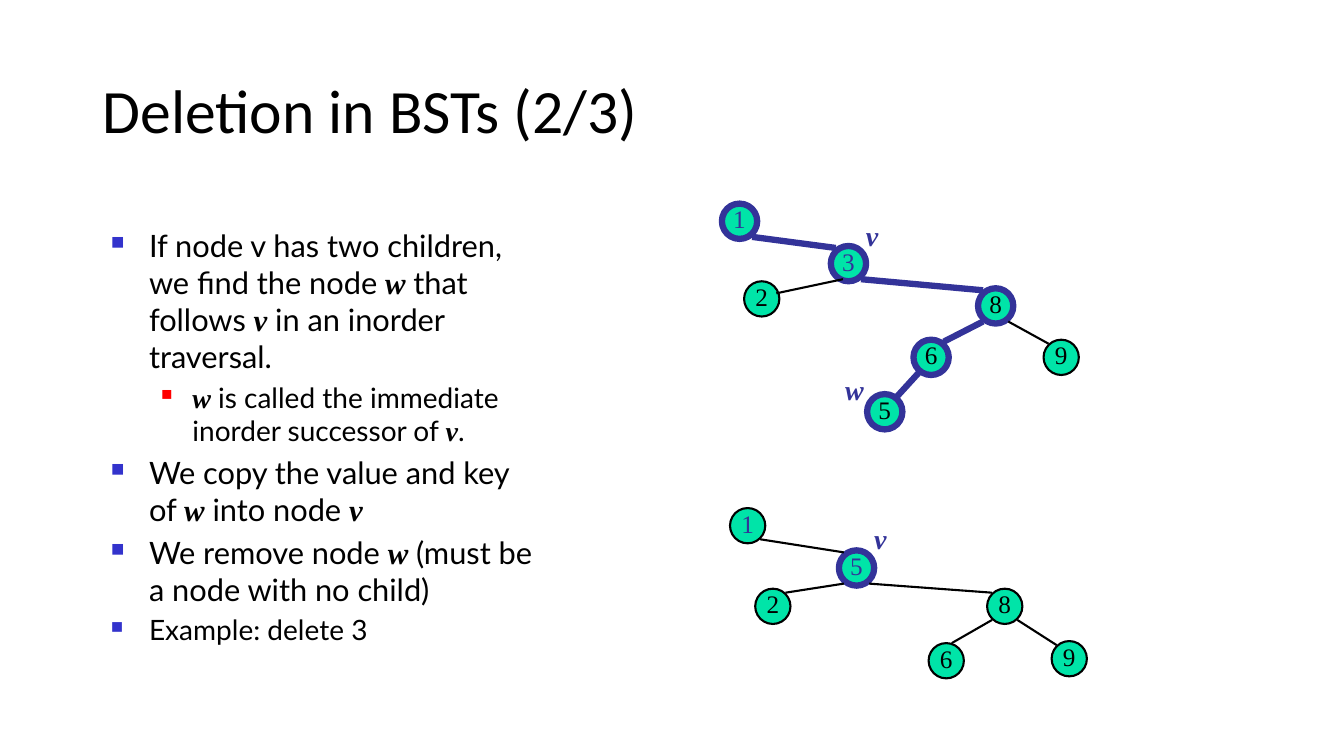
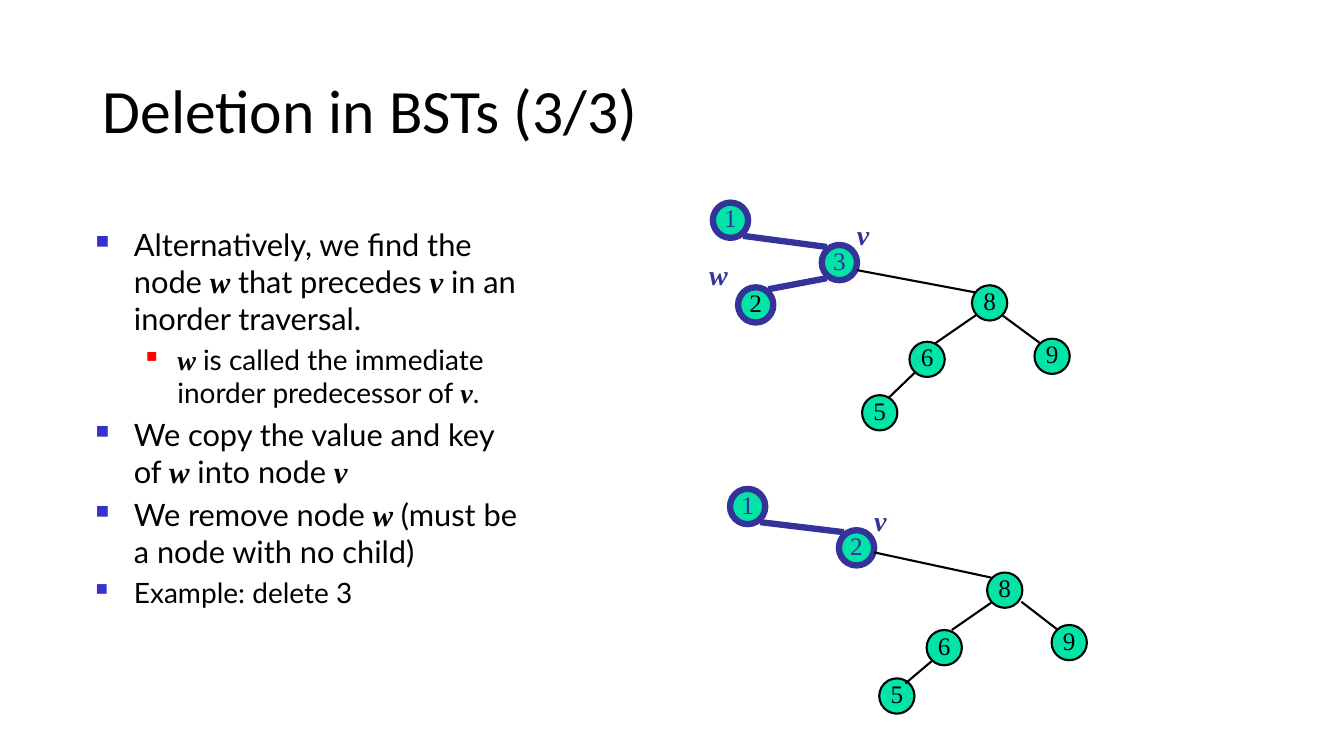
from lxml import etree
from pptx import Presentation
from pptx.dml.color import RGBColor
from pptx.enum.shapes import MSO_CONNECTOR, MSO_SHAPE
from pptx.enum.text import MSO_ANCHOR, PP_ALIGN
from pptx.oxml.ns import qn
from pptx.util import Pt

PX = 9144  # EMU per px, 100 px to the inch
ELLIPSE = MSO_SHAPE.OVAL
STRAIGHT = MSO_CONNECTOR.STRAIGHT
MIDDLE = MSO_ANCHOR.MIDDLE
CENTER = PP_ALIGN.CENTER

BLACK, PURPLE, GREEN = "000000", "333399", "00E4A8"
TITLE_FONT, BODY_FONT, SERIF = "Calibri", "Lato", "Times New Roman"
TITLE_BOX = (92, 40, 1150, 145)
NODE = 35
THICK, THIN = 4.5, 1.5

# Per outline level: left margin, hanging indent, bullet colour, bullet percent
LEVELS = [(38, 38, "3333CC", 60), (81, 31, "FF0000", 55)]

# Outline items: level, size, text with *variables* between stars
CLOSING_STEPS = [
    (0, 22, "We copy the value and key of *w* into node *v*"),
    (0, 22, "We remove node *w *(must be a node with no child)"),
    (0, 20, "Example: delete 3"),
]

# Trees: nodes are placed relative to the root; "path" nodes have a thick ring.
# An edge is parent, child and, where needed, its end points inside each node.
# A label has its node and its offset from that node.
SLIDES = [
    {
        "title": "Deletion in BSTs (2/3)",
        "outline_box": (100, 220, 441, 500),
        "outline": [
            (0, 22, "If node v has two children, we find the node *w *that follows "
                    "*v* in an inorder traversal."),
            (1, 20, "*w *is called the immediate inorder successor of *v*."),
        ],
        "trees": [
            {
                "origin": (716, 202),
                "nodes": {"1": (0, 0), "3": (108, 42), "8": (254, 84), "6": (190, 135),
                          "9": (319, 135), "5": (144, 189), "2": (22, 77)},
                "path": "13865",
                "edges": [("1", "3"), ("3", "8"), ("8", "6"), ("8", "9"), ("6", "5"),
                          ("3", "2", (12, 33), (32, 12))],
                "labels": {"v": ("3", 25, -32), "w": ("5", -32, -26)},
            },
            {
                "origin": (724, 504),
                "nodes": {"1": (0, 0), "5": (108, 42), "8": (255, 80), "2": (25, 80),
                          "6": (197, 134), "9": (319, 132)},
                "path": "5",
                "edges": [("1", "5"), ("5", "8"), ("5", "2"), ("8", "9"),
                          ("8", "6", None, (23, 0))],
                "labels": {"v": ("5", 25, -34)},
            },
        ],
    },
    {
        "title": "Deletion in BSTs (3/3)",
        "outline_box": (85, 219, 441, 500),
        "outline": [
            (0, 22, "Alternatively, we find the node *w *that precedes *v* in an "
                    "inorder traversal."),
            (1, 20, "*w *is called the immediate inorder predecessor of *v*."),
        ],
        "trees": [
            {
                "origin": (707, 201),
                "nodes": {"1": (0, 0), "3": (108, 42), "2": (25, 84), "8": (257, 82),
                          "9": (319, 135), "6": (195, 138), "5": (148, 191)},
                "path": "132",
                "edges": [("1", "3"), ("3", "2"), ("3", "8", (35, 25), (3, 7)),
                          ("8", "9", (29, 29)), ("8", "6", (5, 29), (25, 2)),
                          ("6", "5", None, (26, 3))],
                "labels": {"v": ("3", 25, -32), "w": ("2", -39, -34)},
            },
            {
                "origin": (724, 485),
                "nodes": {"1": (0, 0), "2": (108, 41), "8": (255, 83), "9": (319, 135),
                          "6": (195, 140), "5": (148, 188)},
                "path": "12",
                "edges": [("1", "2"), ("2", "8", (35, 22), (4, 5)),
                          ("8", "9", (34, 29)), ("8", "6", (4, 30), (25, 0)),
                          ("6", "5", None, (26, 5))],
                "labels": {"v": ("2", 25, -31)},
            },
        ],
    },
]


def color(hex_value):
    return RGBColor.from_string(hex_value)


def emu(*lengths):
    return [length * PX for length in lengths]


def add_run(paragraph, text, size, font, ink=BLACK, emphasis=False):
    run = paragraph.add_run()
    run.text = text
    run.font.size = Pt(size)
    run.font.name = font
    run.font.color.rgb = color(ink)
    run.font.bold = run.font.italic = emphasis


def add_text_box(slide, box, wrap=True):
    frame = slide.shapes.add_textbox(*emu(*box)).text_frame
    frame.word_wrap = wrap
    return frame


def add_title(slide, box, title):
    frame = add_text_box(slide, box)
    frame.vertical_anchor = MIDDLE
    frame.paragraphs[0].line_spacing = 0.9
    add_run(frame.paragraphs[0], title, 44, TITLE_FONT)


def format_item(paragraph, level):
    margin, hanging, bullet_color, percent = LEVELS[level]
    paragraph.level = level
    props = paragraph._p.get_or_add_pPr()
    props.set("marL", str(margin * PX))
    props.set("indent", str(-hanging * PX))
    before = etree.SubElement(props, qn("a:spcBef"))
    etree.SubElement(before, qn("a:spcPct"), val="20000")
    tint = etree.SubElement(props, qn("a:buClr"))
    etree.SubElement(tint, qn("a:srgbClr"), val=bullet_color)
    etree.SubElement(props, qn("a:buSzPct"), val=str(percent * 1000))
    etree.SubElement(props, qn("a:buChar"), char="■")


def add_outline(slide, box, items):
    frame = add_text_box(slide, box)
    for index, (level, size, text) in enumerate(items):
        paragraph = frame.add_paragraph() if index else frame.paragraphs[0]
        format_item(paragraph, level)
        for part, words in enumerate(text.split("*")):
            if words:
                variable = part % 2 == 1
                add_run(paragraph, words, size, SERIF if variable else BODY_FONT,
                        emphasis=variable)


def add_node(slide, left, top, key, on_path, ink):
    node = slide.shapes.add_shape(ELLIPSE, *emu(left, top, NODE, NODE))
    node.shadow.inherit = False
    node.fill.solid()
    node.fill.fore_color.rgb = color(GREEN)
    node.line.color.rgb = color(PURPLE if on_path else BLACK)
    node.line.width = Pt(THICK if on_path else THIN)
    frame = node.text_frame
    frame.word_wrap = False
    frame.vertical_anchor = MIDDLE
    frame.margin_left = frame.margin_right = frame.margin_top = 0
    frame.margin_bottom = 5 * PX
    frame.paragraphs[0].alignment = CENTER
    add_run(frame.paragraphs[0], key, 18, SERIF, ink)


def add_edge(slide, start, end, on_path):
    edge = slide.shapes.add_connector(STRAIGHT, *emu(*start, *end))
    edge.line.color.rgb = color(PURPLE if on_path else BLACK)
    edge.line.width = Pt(THICK if on_path else THIN)
    etree.SubElement(edge._element.spPr, qn("a:effectLst"))


def add_label(slide, left, top, name):
    width = 39 if name == "w" else 32
    frame = add_text_box(slide, (left, top, width, 43), wrap=False)
    frame.paragraphs[0].alignment = CENTER
    add_run(frame.paragraphs[0], name, 20, SERIF, PURPLE, emphasis=True)


def corner(right, bottom, on_path):
    """Default end point of an edge inside a node's box."""
    inset = 2 if on_path else 4
    return (NODE - 5 if right else 5, NODE - inset if bottom else inset)


def add_tree(slide, origin, nodes, path, edges, labels):
    places = {key: (origin[0] + x, origin[1] + y) for key, (x, y) in nodes.items()}
    accented = ("1", labels["v"][0])

    for key, place in places.items():
        add_node(slide, *place, key, key in path, PURPLE if key in accented else BLACK)

    for parent, child, *ends in edges:
        from_end, to_end = (ends + [None, None])[:2]
        rightward = nodes[child][0] > nodes[parent][0]
        from_end = from_end or corner(rightward, True, parent in path)
        to_end = to_end or corner(not rightward, False, child in path)
        start = [a + b for a, b in zip(places[parent], from_end)]
        end = [a + b for a, b in zip(places[child], to_end)]
        add_edge(slide, start, end, parent in path and child in path)

    for name, (key, dx, dy) in labels.items():
        add_label(slide, places[key][0] + dx, places[key][1] + dy, name)


def main():
    deck = Presentation()
    deck.slide_width, deck.slide_height = emu(1333, 750)
    blank = deck.slide_layouts[6]
    for content in SLIDES:
        slide = deck.slides.add_slide(blank)
        add_title(slide, TITLE_BOX, content["title"])
        add_outline(slide, content["outline_box"], content["outline"] + CLOSING_STEPS)
        for tree in content["trees"]:
            add_tree(slide, **tree)
    deck.save("out.pptx")


if __name__ == "__main__":
    main()
